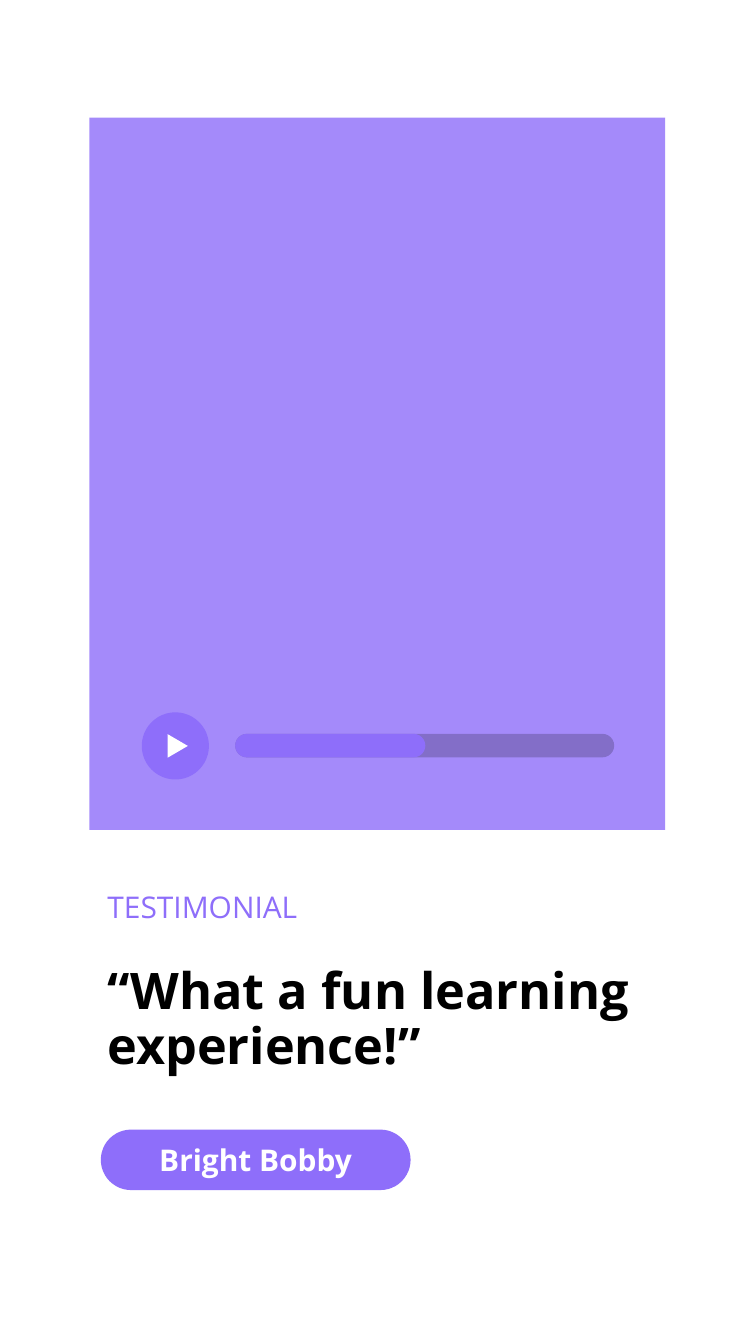
"""Build a tall testimonial slide with a video panel, a quote and a name pill."""
from lxml import etree
from pptx import Presentation
from pptx import util as u
from pptx.dml.color import RGBColor
from pptx.enum import shapes, text
from pptx.oxml.ns import qn

FONT = "Open Sans"
COLORS = {"panel": "4A17F7", "accent": "8E6EFA", "black": "000000", "white": "FFFFFF"}
KINDS = shapes.MSO_SHAPE

PANEL = (KINDS.RECTANGLE, (95.76, 126, 617.04, 763.2), "panel", dict(alpha=50))
TEXTS = [
    ("“What a fun learning experience!”", (108, 1031.76, 594, 138.24),
     dict(size=54, color="black", bold=True, spacing=0.9)),
    ("TESTIMONIAL", (108, 952.56, 594, 46.08),
     dict(size=32, color="accent", spacing=0.9)),
]
PILL = (KINDS.ROUNDED_RECTANGLE, (108, 1210.32, 331.92, 64.8), "accent", dict(adj=0.5))
NAME = "Bright Bobby"
TRACK = (252, 786.24, 406.08, 25.2)
PLAYED = 203.76
PLAYER = [
    (KINDS.OVAL, (151.92, 763.2, 72, 72), "accent", {}),
    (KINDS.ISOSCELES_TRIANGLE, (177.84, 788.4, 25.2, 21.6), "white", dict(rotation=90)),
    (KINDS.ROUNDED_RECTANGLE, TRACK, "black", dict(alpha=20, adj=0.5)),
    (KINDS.ROUNDED_RECTANGLE, (*TRACK[:2], PLAYED, TRACK[3]), "accent", dict(adj=0.5)),
]


def rgb(name):
    return RGBColor.from_string(COLORS[name])


def add_block(parent, kind, box, color, alpha=None, adj=None, rotation=0):
    sp = parent.add_shape(kind, *map(u.Pt, box))
    sp.shadow.inherit = False
    sp.rotation = rotation
    sp.fill.solid()
    sp.fill.fore_color.rgb = rgb(color)
    sp.line.fill.background()
    if adj is not None:
        sp.adjustments[0] = adj
    if alpha is not None:
        clr = sp.fill._xPr.find(qn("a:solidFill"))[0]
        etree.SubElement(clr, qn("a:alpha")).set("val", str(alpha * 1000))
    return sp


def write(sp, content, size, color, bold=False, spacing=1.0,
          align=text.PP_ALIGN.LEFT, anchor=text.MSO_ANCHOR.TOP):
    tf = sp.text_frame
    tf.word_wrap = True
    tf.vertical_anchor = anchor
    p = tf.paragraphs[0]
    p.alignment = align
    p.line_spacing = spacing
    r = p.add_run()
    r.text = content
    r.font.name = FONT
    r.font.size = u.Pt(size)
    r.font.bold = bold
    r.font.color.rgb = rgb(color)


def main():
    prs = Presentation()
    prs.slide_width, prs.slide_height = u.Pt(810), u.Pt(1440)
    s = prs.slides.add_slide(prs.slide_layouts[6])

    def block(parent, item):
        kind, box, color, options = item
        return add_block(parent, kind, box, color, **options)

    block(s.shapes, PANEL)
    for content, box, style in TEXTS:
        write(s.shapes.add_textbox(*map(u.Pt, box)), content, **style)
    write(block(s.shapes, PILL), NAME, size=32, color="white", bold=True,
          align=text.PP_ALIGN.CENTER, anchor=text.MSO_ANCHOR.MIDDLE)
    player = s.shapes.add_group_shape()
    for item in PLAYER:
        block(player.shapes, item)
    prs.save("out.pptx")


if __name__ == "__main__":
    main()
